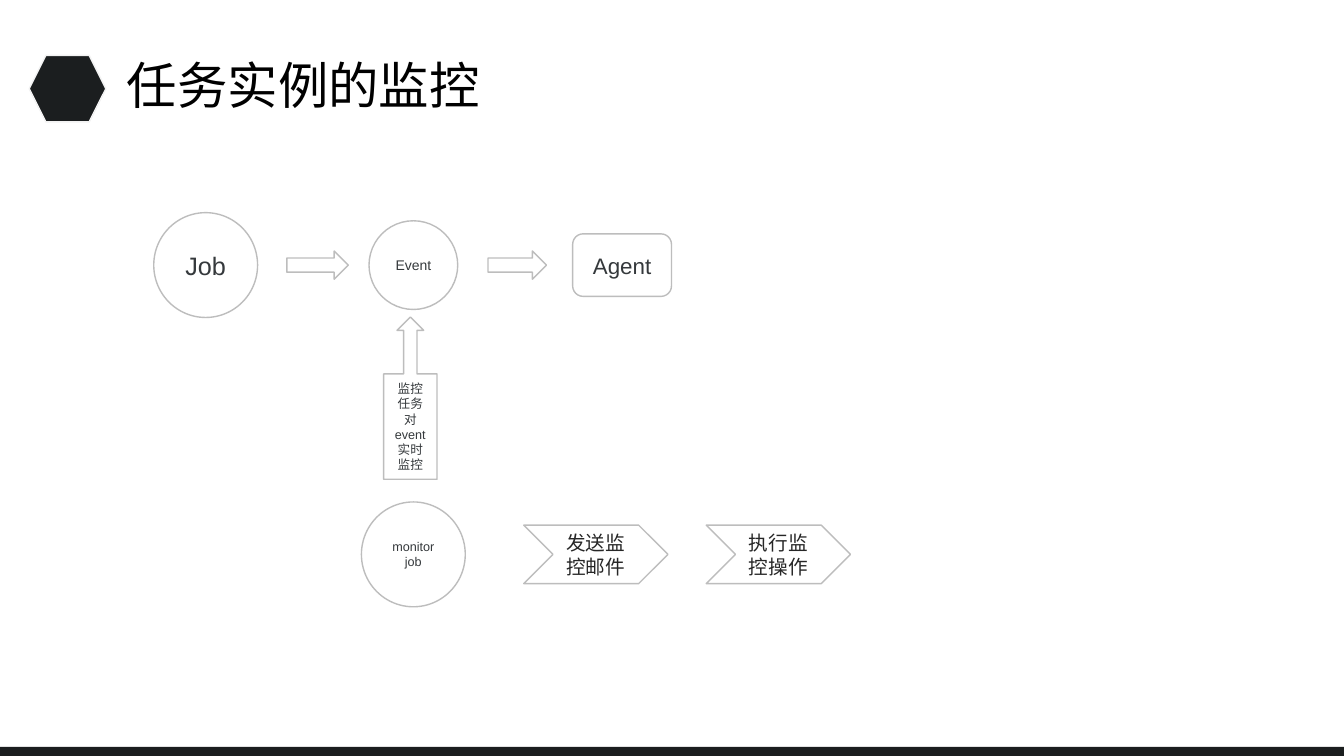
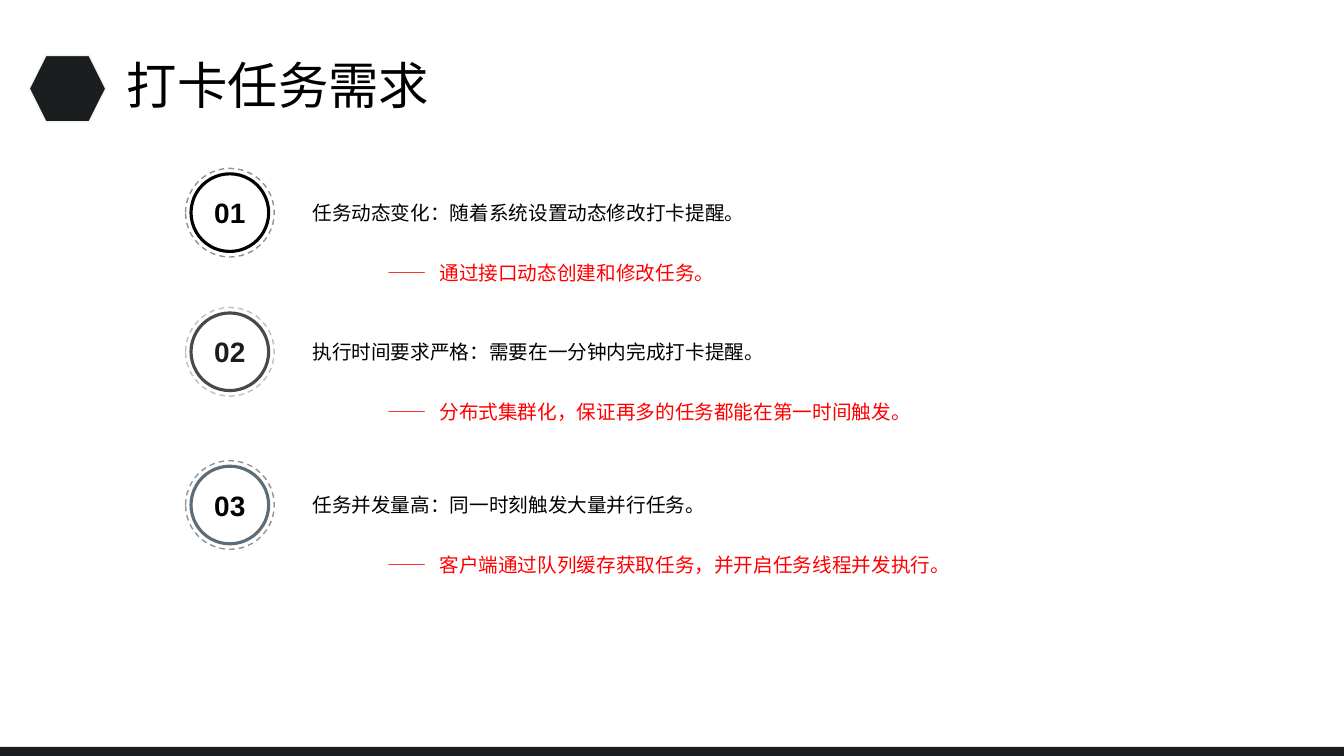
"""Build two slides on task monitoring and check-in task needs."""
from dataclasses import dataclass

from lxml import etree
from pptx import Presentation
from pptx.dml.color import RGBColor
from pptx.enum.dml import MSO_LINE
from pptx.enum.shapes import MSO_SHAPE
from pptx.enum.text import MSO_ANCHOR, PP_ALIGN
from pptx.oxml.ns import qn
from pptx.util import Inches, Pt

RECT, HEX, OVAL = MSO_SHAPE.RECTANGLE, MSO_SHAPE.HEXAGON, MSO_SHAPE.OVAL
ROUND, ARROW = MSO_SHAPE.ROUNDED_RECTANGLE, MSO_SHAPE.RIGHT_ARROW
CALL, CHEV = MSO_SHAPE.UP_ARROW_CALLOUT, MSO_SHAPE.CHEVRON
DASH = MSO_LINE.DASH
TOP, MID = MSO_ANCHOR.TOP, MSO_ANCHOR.MIDDLE
LEFT, CENTER = PP_ALIGN.LEFT, PP_ALIGN.CENTER


@dataclass(frozen=True)
class Theme:
    """Colours, type sizes and slide size."""
    wide: float = 13.33
    high: float = 7.5
    font: str = "Arial"
    dark: str = "1B1E1F"
    pale: str = "F2F2F2"
    white: str = "FFFFFF"
    edge: str = "BDBDBD"
    label: str = "35393C"
    step: str = "262626"
    black: str = "000000"
    note: str = "FF0000"
    title: int = 36
    number: int = 20
    body: int = 14


T = Theme()

FLOW_TITLE = "任务实例的监控"
UPPER, LOWER = 2.63, 5.5
FLOW = [
    (OVAL, 2.04, UPPER, 1.03, 1.04, "Job", 18, T.label),
    (OVAL, 4.1, UPPER, 0.88, 0.88, "Event", 10, T.label),
    (ARROW, 3.15, UPPER, 0.61, 0.28, "", 10, T.label),
    (ROUND, 6.17, UPPER, 0.98, 0.62, "Agent", 16, T.label),
    (ARROW, 5.13, UPPER, 0.58, 0.28, "", 10, T.label),
    (OVAL, 4.1, LOWER, 1.03, 1.04, "monitor\njob", 9, T.label),
    (CALL, 4.07, 3.95, 0.53, 1.61, "监控任务对event实时监控", 9, T.label),
    (CHEV, 5.91, LOWER, 1.43, 0.58, "发送监控邮件", T.body, T.step),
    (CHEV, 7.72, LOWER, 1.43, 0.58, "执行监控操作", T.body, T.step),
]

NEED_TITLE = "打卡任务需求"
NEEDS = [
    (2.11, T.black, "929292", T.black, "任务动态变化：随着系统设置动态修改打卡提醒。",
     "通过接口动态创建和修改任务。"),
    (3.49, "444A4D", "BFBFBF", T.dark, "执行时间要求严格：需要在一分钟内完成打卡提醒。",
     "分布式集群化，保证再多的任务都能在第一时间触发。"),
    (5.01, "5D6C77", "929292", T.black, "任务并发量高：同一时刻触发大量并行任务。",
     "客户端通过队列缓存获取任务，并开启任务线程并发执行。"),
]
RING_X, RING, HALO = 2.28, 0.77, 0.88


def write(shape, text, size, color, align=LEFT, anchor=TOP, space=None, bold=False, tab=None):
    """Put styled text in a shape."""
    frame = shape.text_frame
    frame.word_wrap = True
    frame.vertical_anchor = anchor
    frame.text = text
    for para in frame.paragraphs:
        para.alignment = align
        if space:
            para.line_spacing = space
        if tab:
            stops = etree.SubElement(para._p.get_or_add_pPr(), qn("a:tabLst"))
            etree.SubElement(stops, qn("a:tab"), pos=str(Inches(tab)), algn="l")
        font = para.font
        font.name, font.size, font.bold = T.font, Pt(size), bold
        font.color.rgb = RGBColor.from_string(color)


def draw(slide, kind, x, y, w, h, fill=None, line=None, width=1, dash=None):
    """Add a preset shape by its left top corner."""
    shape = slide.shapes.add_shape(kind, Inches(x), Inches(y), Inches(w), Inches(h))
    shape.shadow.inherit = False
    if fill:
        shape.fill.solid()
        shape.fill.fore_color.rgb = RGBColor.from_string(fill)
    else:
        shape.fill.background()
    if line:
        shape.line.color.rgb = RGBColor.from_string(line)
        shape.line.width = Pt(width)
        if dash:
            shape.line.dash_style = dash
    else:
        shape.line.fill.background()
    return shape


def center(slide, kind, x, y, w, h, **style):
    """Add a preset shape by its centre."""
    return draw(slide, kind, x - w / 2, y - h / 2, w, h, **style)


def say(slide, x, y, w, h, text, size, color, **style):
    """Add a text box."""
    box = slide.shapes.add_textbox(Inches(x), Inches(y), Inches(w), Inches(h))
    write(box, text, size, color, **style)


def start(deck, title):
    """Add a slide with its band, badge and title."""
    slide = deck.slides.add_slide(deck.slide_layouts[6])
    draw(slide, RECT, 0, 7.41, T.wide, T.high - 7.41, fill=T.dark)
    draw(slide, HEX, 0.29, 0.55, 0.76, 0.66, fill=T.dark, line=T.pale)
    say(slide, 1.16, 0.6, T.wide / 2, 0.56, title, T.title, T.black, anchor=MID, space=0.9)
    return slide


def flow(deck):
    """Draw the monitoring flow."""
    slide = start(deck, FLOW_TITLE)
    for kind, x, y, w, h, text, size, color in FLOW:
        node = center(slide, kind, x, y, w, h, fill=T.white, line=T.edge)
        if text:
            write(node, text, size, color, align=CENTER, anchor=MID)


def needs(deck):
    """Draw the numbered needs and their answers."""
    slide = start(deck, NEED_TITLE)
    for rank, (y, ring, halo, ink, need, answer) in enumerate(NEEDS, 1):
        disc = center(slide, OVAL, RING_X, y, RING, RING, line=ring, width=2.25)
        disc.text_frame.margin_left = disc.text_frame.margin_right = 0
        write(disc, f"{rank:02}", T.number, ink, align=CENTER, anchor=MID, bold=True)
        center(slide, OVAL, RING_X, y, HALO, HALO, line=halo, dash=DASH)
        say(slide, 3, y - 0.24, 5.82, 0.48, need, T.body, T.black, space=1.3)
        say(slide, 3.75, y + 0.43, 6, 0.34, f"——\t{answer}", T.body, T.note, tab=0.51)


def main():
    """Build and save the deck."""
    deck = Presentation()
    deck.slide_width, deck.slide_height = Inches(T.wide), Inches(T.high)
    flow(deck)
    needs(deck)
    deck.save("out.pptx")


if __name__ == "__main__":
    main()
